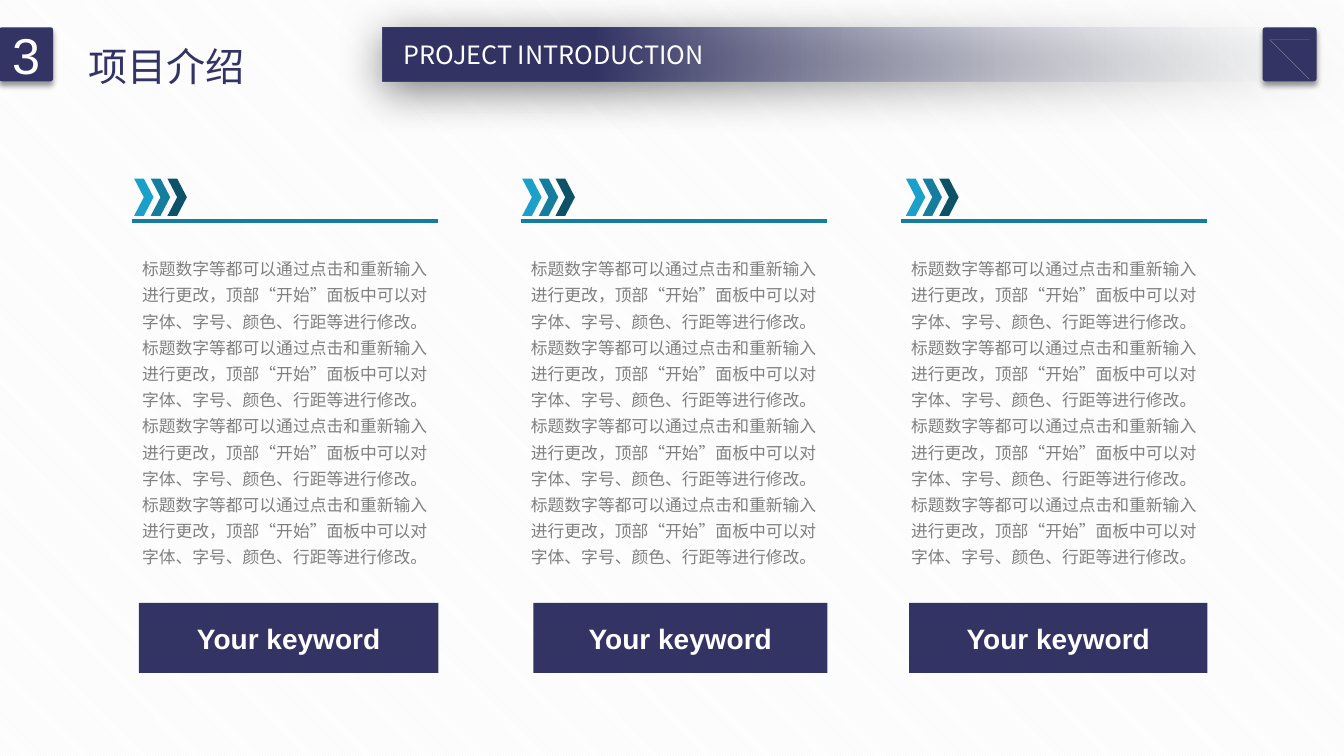
from math import cos, radians, sin

from pptx import Presentation
from pptx.dml.color import RGBColor
from pptx.enum.dml import MSO_PATTERN
from pptx.enum.shapes import MSO_CONNECTOR, MSO_SHAPE as SHAPE
from pptx.enum.text import MSO_ANCHOR as ANCHOR, MSO_AUTO_SIZE as AUTO, PP_ALIGN as ALIGN
from pptx.oxml import parse_xml
from pptx.oxml.ns import nsdecls
from pptx.util import Cm, Pt

NAVY, TEAL, WHITE, GREY = "333464", "157E9F", "FFFFFF", "808080"
CHEVRONS = ["1BA0C9", TEAL, "0D5267"]
LATIN, CJK = "Arial", "Noto Sans CJK SC"
SENTENCE = ("标题数字等都可以通过点击和重新输入进行更改，顶部“开始”面板中可以对"
            "字体、字号、颜色、行距等进行修改。")
# left edges of the rule line, the chevrons and the keyword button
COLUMNS = [(3.33, 3.38, 3.5), (13.13, 13.16, 13.44), (22.71, 22.83, 22.91)]
COLUMN_WIDTH = 7.72


def rgb(color):
    return RGBColor.from_string(color)


def arc(center, radius, start, end, steps=24):
    """Points on a circle, angles in degrees clockwise from the right."""
    angles = [radians(start + (end - start) * i / steps) for i in range(steps + 1)]
    return [(center[0] + radius * cos(a), center[1] + radius * sin(a)) for a in angles]


class Deck:
    def __init__(self):
        self.prs = Presentation()
        self.prs.slide_width, self.prs.slide_height = Cm(33.87), Cm(19.05)
        self.slide = self.prs.slides.add_slide(self.prs.slide_layouts[6])
        self.shapes = self.slide.shapes

    def background(self, fore, back):
        fill = self.slide.background.fill
        fill.patterned()
        fill.pattern = MSO_PATTERN.DARK_DOWNWARD_DIAGONAL
        fill.fore_color.rgb, fill.back_color.rgb = rgb(fore), rgb(back)

    def paint(self, sp, color):
        sp.shadow.inherit = False
        sp.fill.solid()
        sp.fill.fore_color.rgb = rgb(color)
        sp.line.fill.background()
        return sp

    def shape(self, kind, x, y, w, h, color):
        return self.paint(self.shapes.add_shape(kind, Cm(x), Cm(y), Cm(w), Cm(h)), color)

    def rounded(self, x, y, w, h, color):
        sp = self.shape(SHAPE.ROUNDED_RECTANGLE, x, y, w, h, color)
        sp.adjustments[0] = 0.05
        self.shadow(sp, 40, 4, 3, 90)
        return sp

    def outline(self, points, color):
        builder = self.shapes.build_freeform(*points[0], scale=Cm(1))
        builder.add_line_segments(points[1:])
        return self.paint(builder.convert_to_shape(), color)

    def line(self, x, y, length, color, width):
        ln = self.shapes.add_connector(MSO_CONNECTOR.STRAIGHT, Cm(x), Cm(y), Cm(x + length), Cm(y))
        ln.line.color.rgb, ln.line.width = rgb(color), Pt(width)
        ln._element.spPr.append(parse_xml(f"<a:effectLst {nsdecls('a')}/>"))

    def shadow(self, sp, alpha, blur, dist, angle):
        sp._element.spPr.find("./{*}effectLst").append(parse_xml(
            f'<a:outerShdw {nsdecls("a")} blurRad="{Pt(blur)}" dist="{Pt(dist)}" '
            f'dir="{angle * 60000}" algn="t" rotWithShape="0"><a:srgbClr val="000000">'
            f'<a:alpha val="{alpha * 1000}"/></a:srgbClr></a:outerShdw>'))

    def gradient(self, sp, stops, angle):
        """Linear fill from (position, colour, opacity) stops, in percent."""
        gs = "".join(
            f'<a:gs pos="{pos * 1000}"><a:srgbClr val="{color}">'
            f'<a:alpha val="{alpha * 1000}"/></a:srgbClr></a:gs>' for pos, color, alpha in stops)
        spPr = sp._element.spPr
        spPr.replace(spPr.find("./{*}solidFill"), parse_xml(
            f'<a:gradFill {nsdecls("a")} rotWithShape="1"><a:gsLst>{gs}</a:gsLst>'
            f'<a:lin ang="{angle * 60000}" scaled="0"/></a:gradFill>'))

    def add_text(self, sp, text, size, color, font, align=ALIGN.CENTER, bold=False, spacing=None):
        p = sp.text_frame.paragraphs[0]
        p.alignment, p.line_spacing = align, spacing
        r = p.add_run()
        r.text = text
        r.font.size, r.font.bold, r.font.name = Pt(size), bold, font
        r.font.color.rgb = rgb(color)
        r._r.get_or_add_rPr().append(parse_xml(f'<a:ea {nsdecls("a")} typeface="{font}"/>'))

    def label(self, sp, text, size, bold=False):
        sp.text_frame.vertical_anchor = ANCHOR.MIDDLE
        self.add_text(sp, text, size, WHITE, LATIN, bold=bold)

    def textbox(self, x, y, w, h, text, size, color, align=ALIGN.LEFT, spacing=None, wrap=False):
        sp = self.shapes.add_textbox(Cm(x), Cm(y), Cm(w), Cm(h))
        tf = sp.text_frame
        tf.word_wrap, tf.auto_size = wrap, AUTO.SHAPE_TO_FIT_TEXT
        self.add_text(sp, text, size, color, CJK, align, spacing=spacing)

    def share_icon(self):
        """Three dots joined by two thin links, as one outline."""
        top, left, bottom = (32.77, 1.11), (32.23, 1.35), (32.63, 1.64)
        up, down, gap = -24, 36, 8
        arcs = [(top, up + 180 + gap, up + 540 - gap),
                (left, up + gap, down - gap),
                (bottom, down + 180 + gap, down + 540 - gap),
                (left, down + gap, up + 360 - gap)]
        self.outline([pt for c, start, end in arcs for pt in arc(c, 0.115, start, end)], WHITE)

    def column(self, line_x, chevron_x, button_x):
        self.line(line_x, 5.56, COLUMN_WIDTH, TEAL, 3)
        self.textbox(line_x, 6.25, COLUMN_WIDTH, 8.26, SENTENCE * 4, 12, GREY,
                     spacing=1.3, wrap=True)
        right = line_x + COLUMN_WIDTH
        button = self.shape(SHAPE.RECTANGLE, button_x, 15.19, right - button_x, 1.77, NAVY)
        self.label(button, "Your keyword", 20, bold=True)
        for i, color in enumerate(CHEVRONS):
            self.shape(SHAPE.CHEVRON, chevron_x + i * 0.42, 4.5, 0.49, 0.94, color)

    def header(self):
        banner = self.shape(SHAPE.RECTANGLE, 9.64, 0.7, 24.2, 1.36, NAVY)
        self.gradient(banner, [(0, "F7FAFD", 0), (78, NAVY, 100), (99, NAVY, 100)], 180)
        self.shadow(banner, 50, 31, 6, 97)
        self.label(self.rounded(-0.02, 0.69, 1.36, 1.36, NAVY), "3", 36)
        self.rounded(31.82, 0.69, 1.36, 1.36, NAVY)
        self.share_icon()
        self.textbox(1.97, 0.36, 4.46, 2.06, "项目介绍", 28, NAVY, spacing=1.5)
        self.textbox(9.78, 0.86, 8.36, 1.03, "PROJECT INTRODUCTION", 18, WHITE, ALIGN.CENTER)


def main():
    deck = Deck()
    deck.background("F2F2F2", WHITE)
    for lefts in COLUMNS:
        deck.column(*lefts)
    deck.header()
    deck.prs.save("out.pptx")


if __name__ == "__main__":
    main()
